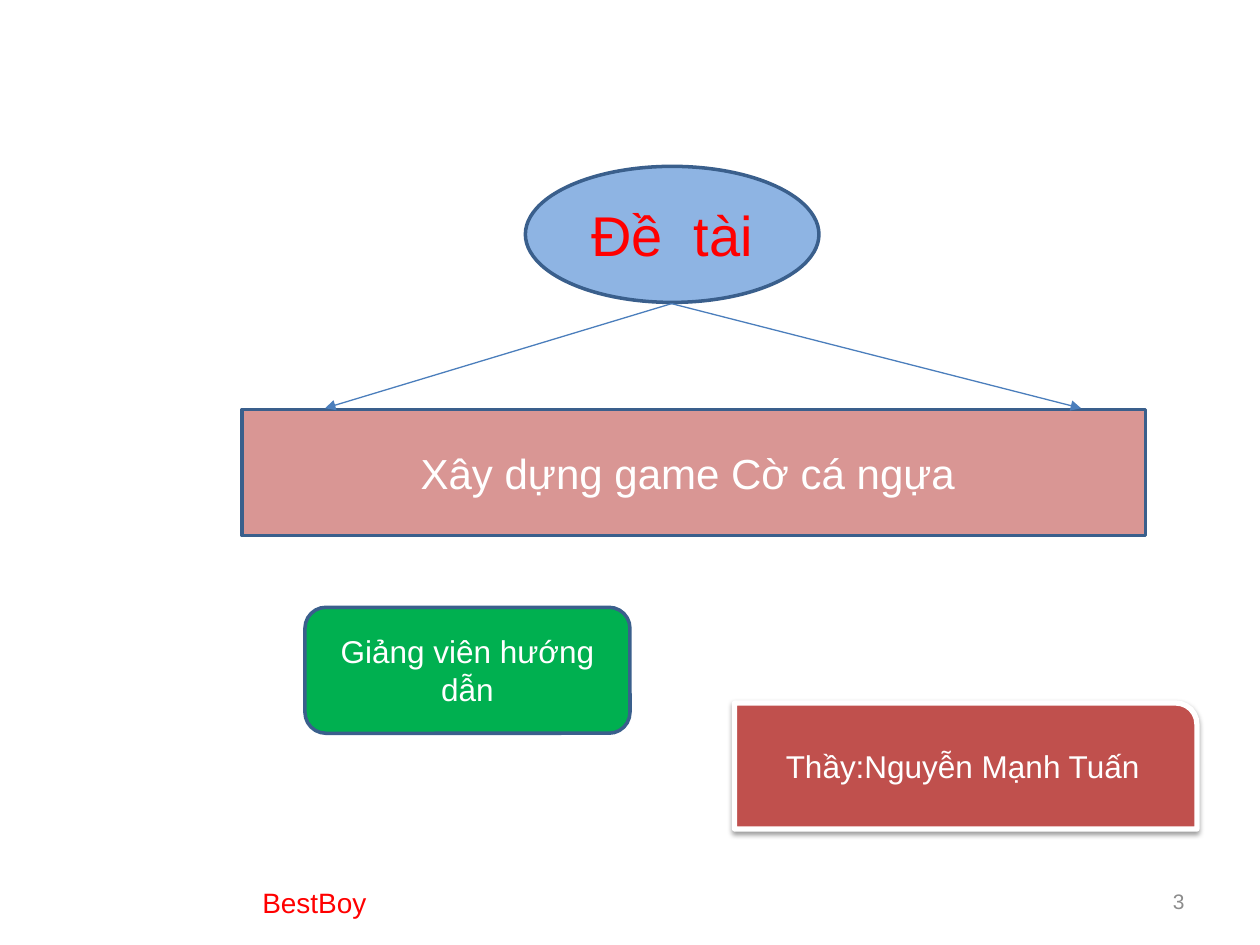
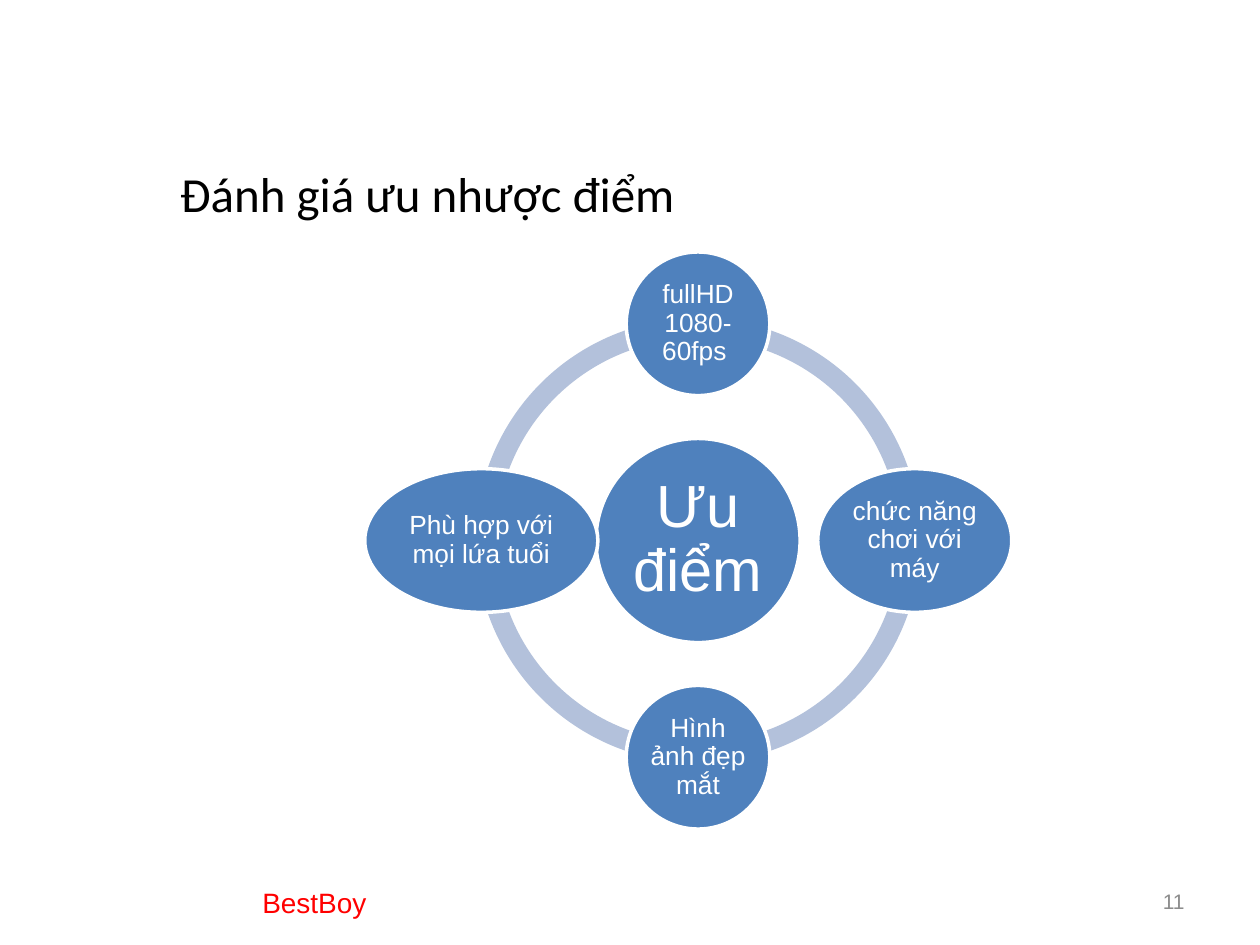
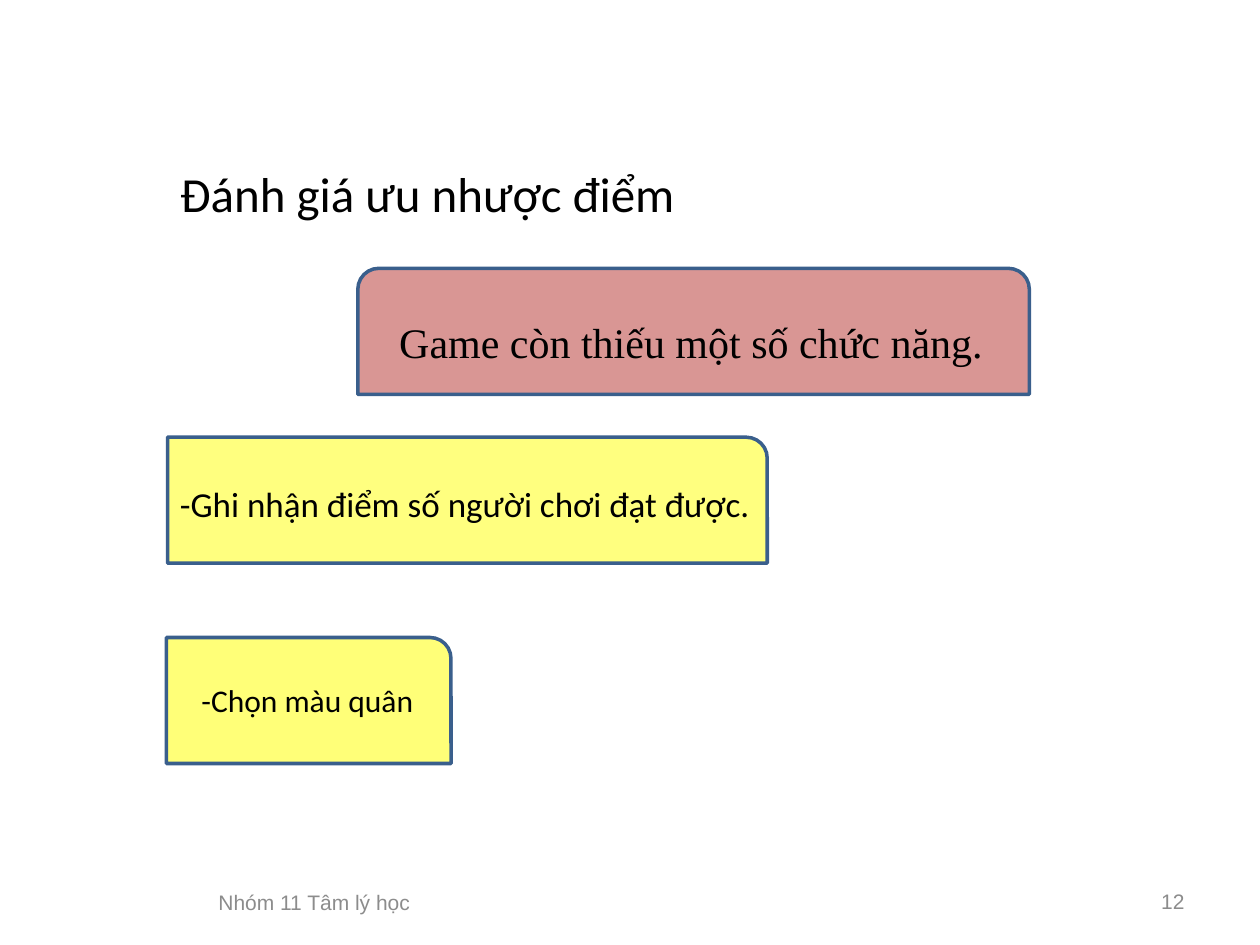
from dataclasses import dataclass
from typing import Optional

from lxml.etree import SubElement
from pptx import Presentation
from pptx.dml.color import RGBColor
from pptx.enum.shapes import MSO_CONNECTOR, MSO_SHAPE
from pptx.enum.text import MSO_ANCHOR, MSO_AUTO_SIZE, PP_ALIGN
from pptx.oxml.ns import qn
from pptx.shapes.autoshape import Shape
from pptx.slide import Slide
from pptx.text.text import TextFrame
from pptx.util import Emu, Inches, Pt

WHITE = RGBColor(0xFF, 0xFF, 0xFF)
BLACK = RGBColor(0x00, 0x00, 0x00)
RED = RGBColor(0xFF, 0x00, 0x00)
GREY = RGBColor(0x8C, 0x8C, 0x8C)
NAVY = RGBColor(0x3A, 0x5F, 0x8C)
ARROW_BLUE = RGBColor(0x4B, 0x7E, 0xBC)
SKY = RGBColor(0x8E, 0xB4, 0xE3)
PINK = RGBColor(0xD9, 0x96, 0x94)
GREEN = RGBColor(0x00, 0xB0, 0x50)
BRICK = RGBColor(0xC0, 0x50, 0x4D)
YELLOW = RGBColor(0xFF, 0xFF, 0x00)
NODE_BLUE = RGBColor(0x4F, 0x81, 0xBD)
RING_BLUE = RGBColor(0xB3, 0xC1, 0xDB)

TITLE_ONLY, BLANK = 5, 6
REVIEW_TITLE = "Đánh giá ưu nhược điểm"
TEAM = "BestBoy"


@dataclass(frozen=True)
class Box:
    """Left, top, width and height in inches."""
    left: float
    top: float
    width: float
    height: float

    def lengths(self) -> tuple[Emu, ...]:
        return tuple(Inches(v) for v in (self.left, self.top, self.width, self.height))


@dataclass(frozen=True)
class Words:
    text: str
    size: float
    color: RGBColor = WHITE
    font: str = "Arial"
    align: PP_ALIGN = PP_ALIGN.CENTER
    anchor: MSO_ANCHOR = MSO_ANCHOR.MIDDLE
    wrap: bool = True
    inset: Optional[float] = None
    line_spacing: Optional[float] = None


@dataclass(frozen=True)
class Card:
    outline: MSO_SHAPE
    box: Box
    fill: RGBColor
    words: Optional[Words] = None
    line: Optional[RGBColor] = NAVY
    line_width: float = 2
    opacity: int = 100


def write(frame: TextFrame, words: Words) -> None:
    frame.auto_size = MSO_AUTO_SIZE.NONE
    frame.word_wrap = words.wrap
    frame.vertical_anchor = words.anchor
    if words.inset is not None:
        frame.margin_left = frame.margin_right = Inches(words.inset)
        frame.margin_top = frame.margin_bottom = Inches(words.inset)
    paragraph = frame.paragraphs[0]
    paragraph.alignment = words.align
    if words.line_spacing:
        paragraph.line_spacing = words.line_spacing
    run = paragraph.add_run()
    run.text = words.text
    run.font.size = Pt(words.size)
    run.font.name = words.font
    run.font.color.rgb = words.color


def add_label(slide: Slide, box: Box, words: Words) -> None:
    write(slide.shapes.add_textbox(*box.lengths()).text_frame, words)


def add_card(slide: Slide, card: Card) -> Shape:
    shape = slide.shapes.add_shape(card.outline, *card.box.lengths())
    shape.shadow.inherit = False
    shape.fill.solid()
    shape.fill.fore_color.rgb = card.fill
    if card.opacity < 100:
        color = shape.fill._xPr.find(qn("a:solidFill"))[0]
        SubElement(color, qn("a:alpha"), val=str(card.opacity * 1000))
    if card.line is None:
        shape.line.fill.background()
    else:
        shape.line.color.rgb = card.line
        shape.line.width = Pt(card.line_width)
    if card.words:
        write(shape.text_frame, card.words)
    return shape


def drop_shadow(shape: Shape) -> None:
    effects = shape._element.spPr.find(qn("a:effectLst"))
    shadow = SubElement(effects, qn("a:outerShdw"), blurRad=str(Pt(3.1)),
                        dist=str(Pt(1.6)), dir="5400000", rotWithShape="0")
    color = SubElement(shadow, qn("a:srgbClr"), val=str(BLACK))
    SubElement(color, qn("a:alpha"), val="38000")


def add_arrow(slide: Slide, start: tuple[float, float], end: tuple[float, float]) -> None:
    points = [Inches(v) for v in (*start, *end)]
    arrow = slide.shapes.add_connector(MSO_CONNECTOR.STRAIGHT, *points)
    arrow.line.color.rgb = ARROW_BLUE
    arrow.line.width = Pt(0.75)
    SubElement(arrow.line._get_or_add_ln(), qn("a:tailEnd"), type="triangle")
    SubElement(arrow._element.spPr, qn("a:effectLst"))


def add_title(slide: Slide, text: str) -> None:
    title = slide.shapes.title
    title.left, title.top, title.width, title.height = Box(1.33, 1.25, 4.17, 0.57).lengths()
    write(title.text_frame, Words(text, 28, BLACK, "Calibri", PP_ALIGN.LEFT,
                                  MSO_ANCHOR.TOP, wrap=False))


def add_footer(slide: Slide, footer: Words, number: int) -> None:
    add_label(slide, Box(1.33, 6.96, 2.33, 0.4), footer)
    add_label(slide, Box(7.17, 6.95, 2.33, 0.4),
              Words(str(number), 12, GREY, align=PP_ALIGN.RIGHT))


def build_topic(slide: Slide) -> None:
    cards = (
        Card(MSO_SHAPE.OVAL, Box(4.17, 1.32, 2.33, 1.08), SKY, Words("Đề  tài", 32, RED)),
        Card(MSO_SHAPE.RECTANGLE, Box(1.92, 3.25, 7.17, 1), PINK,
             Words("Xây dựng game Cờ cá ngựa ", 24)),
        Card(MSO_SHAPE.ROUNDED_RECTANGLE, Box(2.42, 4.82, 2.58, 1), GREEN,
             Words("Giảng viên hướng dẫn", 18)),
    )
    for card in cards:
        add_card(slide, card)
    teacher = Card(MSO_SHAPE.ROUND_1_RECTANGLE, Box(5.83, 5.58, 3.67, 1), BRICK,
                   Words("Thầy:Nguyễn Mạnh Tuấn", 18), WHITE, 3)
    drop_shadow(add_card(slide, teacher))
    for end_x in (2.58, 8.58):
        add_arrow(slide, (5.33, 2.41), (end_x, 3.24))
    add_footer(slide, Words(TEAM, 16, RED), 3)


def build_strengths(slide: Slide) -> None:
    """Four strengths on a ring around the central topic."""
    center_x, center_y = 5.54, 4.29
    ring, orbit, node_height = 3.53, 1.72, 1.14

    def centered(dx: float, dy: float, width: float, height: float) -> Box:
        return Box(center_x + dx - width / 2, center_y + dy - height / 2, width, height)

    add_title(slide, REVIEW_TITLE)
    quarter, full_turn = 54, 216
    for start in range(0, full_turn, quarter):
        arc = add_card(slide, Card(MSO_SHAPE.BLOCK_ARC, centered(0, 0, ring, ring),
                                   RING_BLUE, line=None))
        arc.adjustments[0] = start
        arc.adjustments[1] = (start + quarter) % full_turn
        arc.adjustments[2] = 0.046

    add_card(slide, Card(MSO_SHAPE.OVAL, centered(0, 0, 1.62, 1.62), NODE_BLUE,
                         Words("Ưu điểm", 34, inset=0.05, line_spacing=0.9), WHITE))
    strengths = (
        ("fullHD 1080-60fps ", 0, -1, 1.14),
        ("chức năng chơi với máy", 1, 0, 1.54),
        ("Hình ảnh đẹp mắt", 0, 1, 1.14),
        ("Phù hợp với mọi lứa tuổi", -1, 0, 1.85),
    )
    for text, across, down, width in strengths:
        box = centered(across * orbit, down * orbit, width, node_height)
        add_card(slide, Card(MSO_SHAPE.OVAL, box, NODE_BLUE,
                             Words(text, 15, inset=0.02, line_spacing=0.9), WHITE))
    add_footer(slide, Words(TEAM, 16, RED), 11)


def build_weaknesses(slide: Slide) -> None:
    add_title(slide, REVIEW_TITLE)
    cards = (
        Card(MSO_SHAPE.ROUND_1_RECTANGLE, Box(1.33, 3.47, 4.76, 1), YELLOW, opacity=50),
        Card(MSO_SHAPE.ROUND_2_SAME_RECTANGLE, Box(2.84, 2.13, 5.33, 1), PINK),
        Card(MSO_SHAPE.ROUND_1_RECTANGLE, Box(1.32, 5.06, 2.26, 1), YELLOW, opacity=53),
    )
    for card in cards:
        add_card(slide, card)
    weaknesses = (
        ("Game còn thiếu một số chức năng.", Box(3.07, 2.46, 5.68, 0.5),
         24, "Times New Roman", True),
        ("-Ghi nhận điểm số người chơi đạt được.", Box(1.33, 3.78, 4.76, 0.44),
         20, "Calibri", False),
        ("-Chọn màu quân", Box(1.5, 5.36, 2.42, 0.4), 18, "Calibri", True),
    )
    for text, box, size, font, wrap in weaknesses:
        add_label(slide, box, Words(text, size, BLACK, font, PP_ALIGN.LEFT,
                                    MSO_ANCHOR.TOP, wrap))
    add_footer(slide, Words("Nhóm 11 Tâm lý học", 12, GREY), 12)


def main() -> None:
    deck = Presentation()
    deck.slide_width, deck.slide_height = Inches(10), Inches(7.5)
    pages = ((BLANK, build_topic), (TITLE_ONLY, build_strengths),
             (TITLE_ONLY, build_weaknesses))
    for layout, build in pages:
        build(deck.slides.add_slide(deck.slide_layouts[layout]))
    deck.save("out.pptx")


if __name__ == "__main__":
    main()
